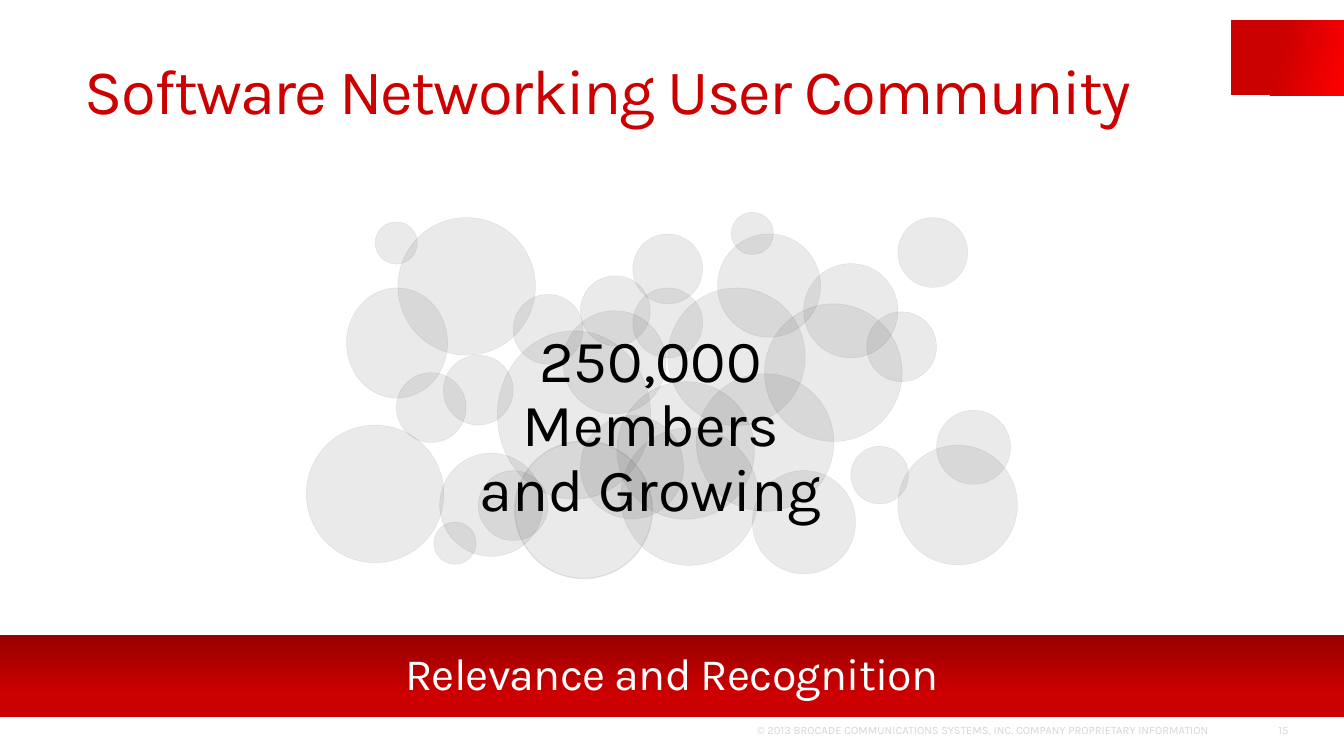
from lxml.etree import SubElement
from pptx import Presentation
from pptx.dml.color import RGBColor
from pptx.enum.shapes import MSO_SHAPE as Shape
from pptx.enum.text import MSO_ANCHOR as Anchor, PP_ALIGN as Align
from pptx.oxml.ns import qn
from pptx.util import Cm, Pt

FONT = "Karla"
RED = RGBColor(0xCC, 0x00, 0x00)
DARK_RED = RGBColor(0x99, 0x00, 0x00)
CORNER_RED = RGBColor(0xCB, 0x00, 0x00)
BRIGHT_RED = RGBColor(0xFF, 0x00, 0x00)
GREY = RGBColor(0x47, 0x47, 0x47)
PALE_GREY = RGBColor(0xD6, 0xD6, 0xD6)
BLACK = RGBColor(0x00, 0x00, 0x00)
WHITE = RGBColor(0xFF, 0xFF, 0xFF)

# Content
TITLE = "Software Networking User Community"
MEMBERS = ["250,000 Members", "and Growing"]
BANNER = "Relevance and Recognition"
FOOTERS = [  # text, left, width in cm
    ("© 2013 BROCADE COMMUNICATIONS SYSTEMS, INC. COMPANY PROPRIETARY INFORMATION", 11.53, 11.3),
    ("15", 23.77, 0.58),
]

# Bubbles from back to front: left, top, width, height in cm
TINY, SMALL, MEDIUM, LARGE = [(size, size) for size in (0.8, 1.32, 1.95, 2.6)]
BUBBLES = [
    (10.97, 5.21, *SMALL), (16.08, 8.43, 1.09, 1.09), (10.64, 5.87, *MEDIUM),
    (14.22, 8.89, *MEDIUM), (5.79, 8.03, *LARGE), (12.62, 5.44, *LARGE),
    (17.7, 7.75, 1.4, 1.4), (10.97, 7.85, *MEDIUM), (13.82, 4.01, *TINY),
    (13.56, 4.42, *MEDIUM), (9.04, 8.89, *SMALL), (9.7, 5.56, *SMALL),
    (11.66, 7.21, *LARGE), (9.73, 8.33, *LARGE), (15.19, 4.98, 1.78, 1.78),
    (8.31, 8.56, *MEDIUM), (16.97, 4.11, *SMALL), (16.97, 8.41, 2.26, 2.26),
    (16.38, 5.89, *SMALL), (11.96, 4.42, *SMALL), (11.96, 5.44, *SMALL),
    (8.2, 9.86, *TINY), (11.73, 8.08, *LARGE), (7.49, 7.04, *SMALL),
    (8.38, 6.71, *SMALL), (7.52, 4.11, *LARGE), (14.45, 5.74, *LARGE),
    (13.16, 7.06, *LARGE), (9.4, 6.25, 2.9, 3.18), (6.55, 5.44, 1.91, 2.08),
    (7.09, 4.19, *TINY),
]
OUTLINED_BUBBLE = 13  # the one with a heavier line


def add_shape(page, kind, place):
    shape = page.shapes.add_shape(kind, *map(Cm, place))
    shape.shadow.inherit = False
    return shape


def add_gradient_bar(page, place, stops, angle):
    bar = add_shape(page, Shape.RECTANGLE, place)
    bar.line.fill.background()
    bar.fill.gradient()
    bar.fill.gradient_angle = angle
    for stop, (position, color) in zip(bar.fill.gradient_stops, stops):
        stop.position, stop.color.rgb = position, color
    return bar


def set_alpha(shape, *percents):
    """Set the opacity of the fill and then of the line."""
    for color, percent in zip(shape._element.spPr.iter(qn("a:srgbClr")), percents):
        SubElement(color, qn("a:alpha"), val=str(percent * 1000))


def write(shape, lines, size, color, align, spacing=None, tracking=0):
    frame = shape.text_frame
    frame.text = "\n".join(lines)
    frame.word_wrap = True
    for para in frame.paragraphs:
        para.alignment, para.line_spacing = align, spacing
        para.space_before = Pt(0)
        for span in para.runs:
            span.font.name, span.font.size = FONT, Pt(size)
            span.font.color.rgb = color
            if tracking:
                span.font._element.set("spc", str(tracking))
    return frame


def set_margins(frame, right=0):
    frame.margin_left = frame.margin_top = frame.margin_bottom = 0
    frame.margin_right = Cm(right)


deck = Presentation()
deck.slide_width, deck.slide_height = Cm(25.4), Cm(14.28)
page = deck.slides.add_slide(deck.slide_layouts[5])

# Corner block
add_gradient_bar(page, (23.27, 0.38, 2.13, 1.42),
                 [(0.42, CORNER_RED), (1, BRIGHT_RED)], 345)

# Title
title = page.shapes.title
title.left, title.top, title.width, title.height = map(Cm, (1.6, 0.97, 21.67, 3.3))
frame = write(title, [TITLE], 34, RED, Align.LEFT, tracking=-90)
frame.vertical_anchor = Anchor.TOP
set_margins(frame, right=0.51)

# Footer
for text, left, width in FOOTERS:
    box = page.shapes.add_textbox(Cm(left), Cm(13.56), Cm(width), Cm(0.36))
    frame = write(box, [text], 6, PALE_GREY, Align.RIGHT)
    frame.vertical_anchor = Anchor.BOTTOM
    set_margins(frame)

# Bubble cloud
for index, place in enumerate(BUBBLES):
    bubble = add_shape(page, Shape.OVAL, place)
    bubble.fill.solid()
    bubble.fill.fore_color.rgb = GREY
    bubble.line.color.rgb = BLACK
    bubble.line.width = Pt(0.75 if index == OUTLINED_BUBBLE else 0.25)
    set_alpha(bubble, 11, 7)

# Member count
box = page.shapes.add_textbox(Cm(7.6), Cm(6.12), Cm(9.4), Cm(2.72))
write(box, MEMBERS, 32, BLACK, Align.CENTER, spacing=0.9)

# Banner
banner = add_gradient_bar(page, (0, 11.99, 25.4, 1.55),
                          [(0, DARK_RED), (0.73, RED)], 270)
frame = write(banner, [BANNER], 24, WHITE, Align.CENTER, spacing=0.9, tracking=-40)
frame.vertical_anchor = Anchor.MIDDLE

deck.save("out.pptx")
